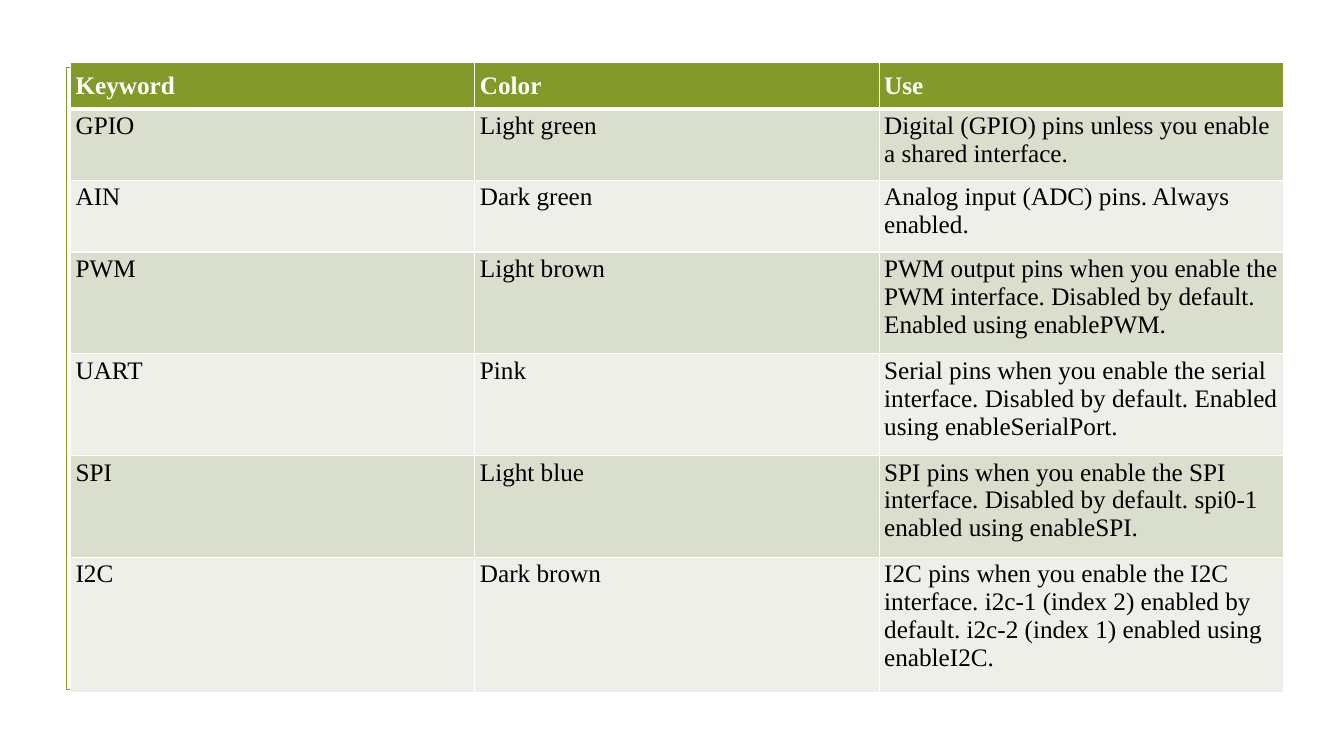
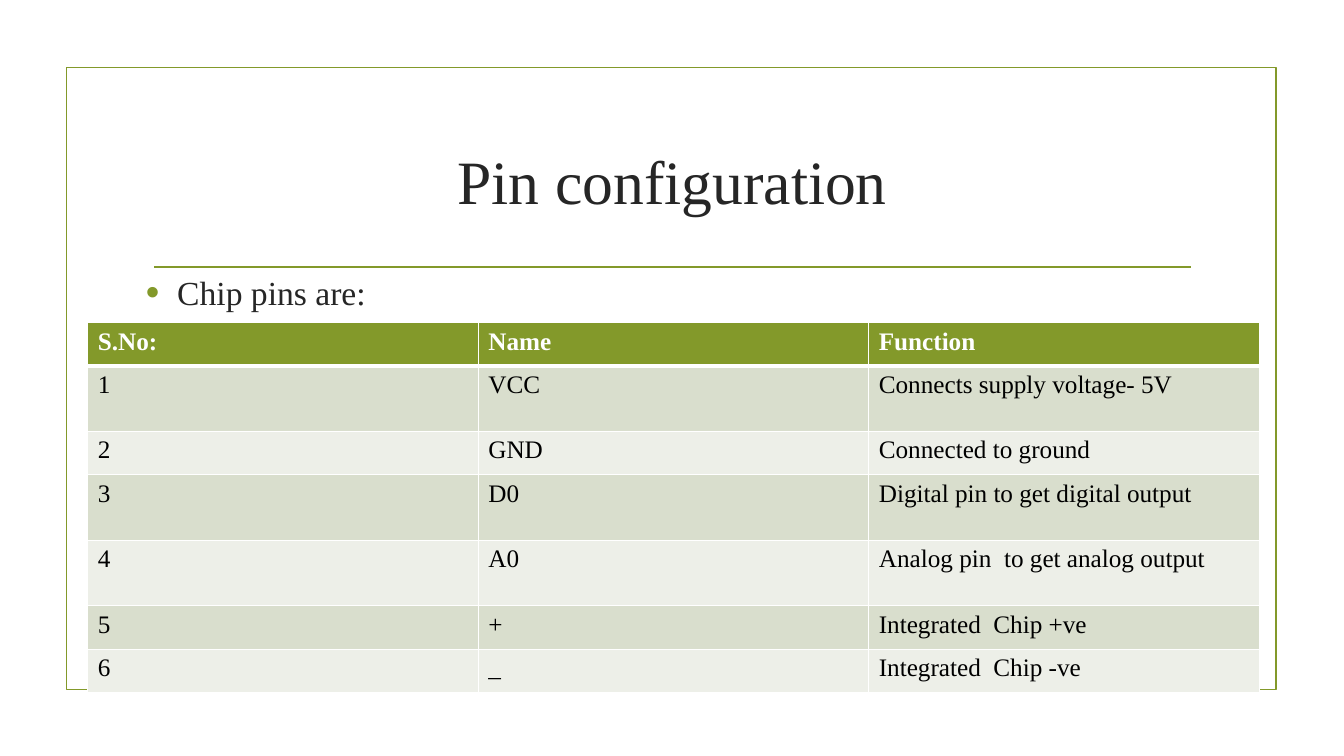
from dataclasses import dataclass

from pptx import Presentation
from pptx.dml.color import RGBColor
from pptx.enum.shapes import MSO_CONNECTOR as Connector, MSO_SHAPE as Shape
from pptx.enum.text import MSO_ANCHOR as Anchor, PP_ALIGN as Align
from pptx.oxml.ns import qn
from pptx.util import Inches, Pt
from lxml.etree import SubElement


@dataclass(frozen=True)
class Theme:
    font: str = "Times New Roman"
    green: str = "83992A"
    white: str = "FFFFFF"
    black: str = "000000"
    ink: str = "262626"
    bands: tuple = ("D9DECD", "EDEFE8")
    title_size: int = 44
    bullet_size: int = 24
    table_size: int = 18
    frame_width: float = 1.25
    cell_border: int = 1
    header_border: int = 3


THEME = Theme()

KEYWORDS = {
    "place": (0.7, 0.62, 12.03),
    "row_heights": (0.46, 0.71, 0.71, 1.01, 1.01, 1.01, 1.34),
    "header_format": {"margins": (0.05, 0.06), "anchor": Anchor.MIDDLE},
    "body_format": {"margins": (0.05, 0.03), "anchor": Anchor.TOP},
    "rows": [
        ("Keyword", "Color", "Use"),
        ("GPIO", "Light green", "Digital (GPIO) pins unless you enable a shared interface."),
        ("AIN", "Dark green", "Analog input (ADC) pins. Always enabled."),
        ("PWM", "Light brown", "PWM output pins when you enable the PWM interface. "
                               "Disabled by default. Enabled using enablePWM."),
        ("UART", "Pink", "Serial pins when you enable the serial interface. "
                         "Disabled by default. Enabled using enableSerialPort."),
        ("SPI", "Light blue", "SPI pins when you enable the SPI interface. "
                              "Disabled by default. spi0-1 enabled using enableSPI."),
        ("I2C", "Dark brown", "I2C pins when you enable the I2C interface. "
                              "i2c-1 (index 2) enabled by default. "
                              "i2c-2 (index 1) enabled using enableI2C."),
    ],
}

PIN_FORMAT = {"margins": (0.1, 0.05), "anchor": Anchor.TOP}
PINS = {
    "place": (0.87, 3.2, 11.62),
    "row_heights": (0.43, 0.65, 0.43, 0.65, 0.65, 0.43, 0.43),
    "header_format": PIN_FORMAT,
    "body_format": PIN_FORMAT,
    "rows": [
        ("S.No:", "Name", "Function"),
        ("1", "VCC", "Connects supply voltage- 5V"),
        ("2", "GND", "Connected to ground"),
        ("3", "D0", "Digital pin to get digital output"),
        ("4", "A0", "Analog pin  to get analog output"),
        ("5", "+", "Integrated  Chip +ve"),
        ("6", "_", "Integrated  Chip -ve"),
    ],
}

PIN_TITLE = "Pin configuration"
PIN_BULLET = "Chip pins are:"


def rgb(color):
    return RGBColor.from_string(color)


def set_all(target, values):
    for name, value in values.items():
        setattr(target, name, value)


def write(paragraph, text, size, color, bold=False):
    run = paragraph.add_run()
    run.text = text
    set_all(run.font, {"name": THEME.font, "size": Pt(size), "bold": bold})
    run.font.color.rgb = rgb(color)


def add_text_box(slide, place, anchor):
    """Add an empty wrapping text box and return its first paragraph."""
    frame = slide.shapes.add_textbox(*map(Inches, place)).text_frame
    set_all(frame, {"word_wrap": True, "vertical_anchor": anchor})
    return frame.paragraphs[0]


def add_bullet(paragraph):
    properties = paragraph._p.get_or_add_pPr()
    indent = Inches(0.31)
    properties.set("marL", str(indent))
    properties.set("indent", str(-indent))
    color = SubElement(properties, qn("a:buClr"))
    SubElement(color, qn("a:srgbClr"), val=THEME.green)
    SubElement(properties, qn("a:buSzPct"), val="115000")
    SubElement(properties, qn("a:buFont"), typeface="Arial")
    SubElement(properties, qn("a:buChar"), char="•")


def add_cell_borders(cell, widths):
    properties = cell._tc.get_or_add_tcPr()
    for side, width in widths.items():
        line = SubElement(properties, qn(f"a:ln{side}"), w=str(Pt(width)))
        fill = SubElement(line, qn("a:solidFill"))
        SubElement(fill, qn("a:srgbClr"), val=THEME.white)


def add_framed_slide(presentation):
    """Add a blank slide with the shared green frame and title rule."""
    slide = presentation.slides.add_slide(presentation.slide_layouts[6])
    frame = slide.shapes.add_shape(Shape.RECTANGLE, *map(Inches, (0.66, 0.67, 12, 6.17)))
    frame.shadow.inherit = False
    frame.fill.background()
    rule = slide.shapes.add_connector(
        Connector.STRAIGHT, *map(Inches, (1.53, 2.65, 11.81, 2.65)))
    SubElement(rule._element.spPr, qn("a:effectLst"))
    for shape in (frame, rule):
        shape.line.color.rgb = rgb(THEME.green)
        shape.line.width = Pt(THEME.frame_width)
    return slide


def fill_cell(cell, text, row_index, cell_format):
    is_header = row_index == 0
    horizontal, vertical = map(Inches, cell_format["margins"])
    set_all(cell, {
        "margin_left": horizontal, "margin_right": horizontal,
        "margin_top": vertical, "margin_bottom": vertical,
        "vertical_anchor": cell_format["anchor"],
    })
    widths = dict.fromkeys("LRTB", THEME.cell_border)
    if is_header:
        widths["B"] = THEME.header_border
    elif row_index == 1:
        widths["T"] = THEME.header_border
    add_cell_borders(cell, widths)
    cell.fill.solid()
    cell.fill.fore_color.rgb = rgb(THEME.green if is_header else THEME.bands[(row_index - 1) % 2])
    write(cell.text_frame.paragraphs[0], text, THEME.table_size,
          THEME.white if is_header else THEME.black, is_header)


def add_banded_table(slide, content):
    rows, heights = content["rows"], content["row_heights"]
    left, top, width = content["place"]
    table = slide.shapes.add_table(
        len(rows), len(rows[0]), *map(Inches, (left, top, width, sum(heights)))).table
    for row_index, (texts, height) in enumerate(zip(rows, heights)):
        table.rows[row_index].height = Inches(height)
        cell_format = content["body_format" if row_index else "header_format"]
        for column_index, text in enumerate(texts):
            fill_cell(table.cell(row_index, column_index), text, row_index, cell_format)


def add_pin_heading(slide):
    title = add_text_box(slide, (1.42, 1.07, 10.5, 1.43), Anchor.MIDDLE)
    title.alignment = Align.CENTER
    write(title, PIN_TITLE, THEME.title_size, THEME.ink)
    bullet = add_text_box(slide, (1.35, 2.65, 10.5, 0.55), Anchor.TOP)
    set_all(bullet, {"alignment": Align.JUSTIFY, "space_before": Pt(4.8), "space_after": Pt(6)})
    add_bullet(bullet)
    write(bullet, PIN_BULLET, THEME.bullet_size, THEME.ink)


def main():
    presentation = Presentation()
    set_all(presentation, {"slide_width": Inches(13.33), "slide_height": Inches(7.5)})
    add_banded_table(add_framed_slide(presentation), KEYWORDS)
    pin_slide = add_framed_slide(presentation)
    add_pin_heading(pin_slide)
    add_banded_table(pin_slide, PINS)
    presentation.save("out.pptx")


if __name__ == "__main__":
    main()
